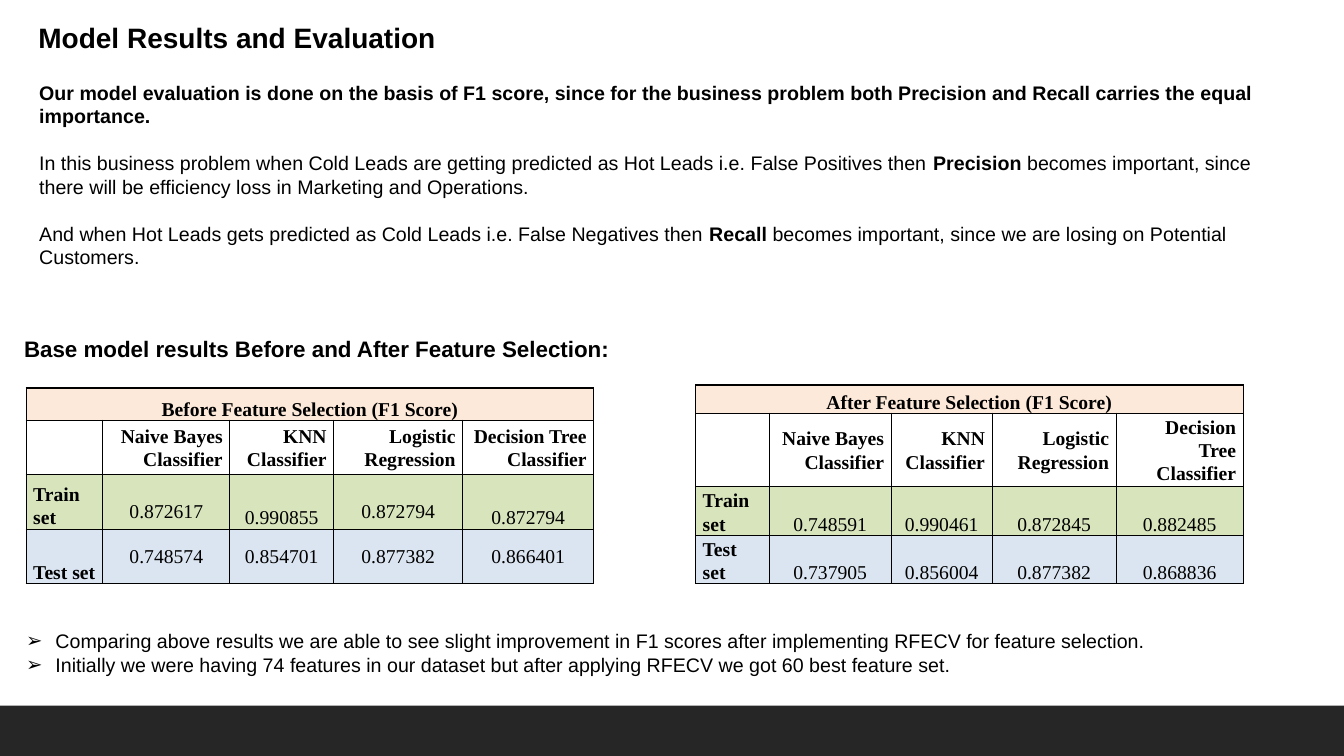
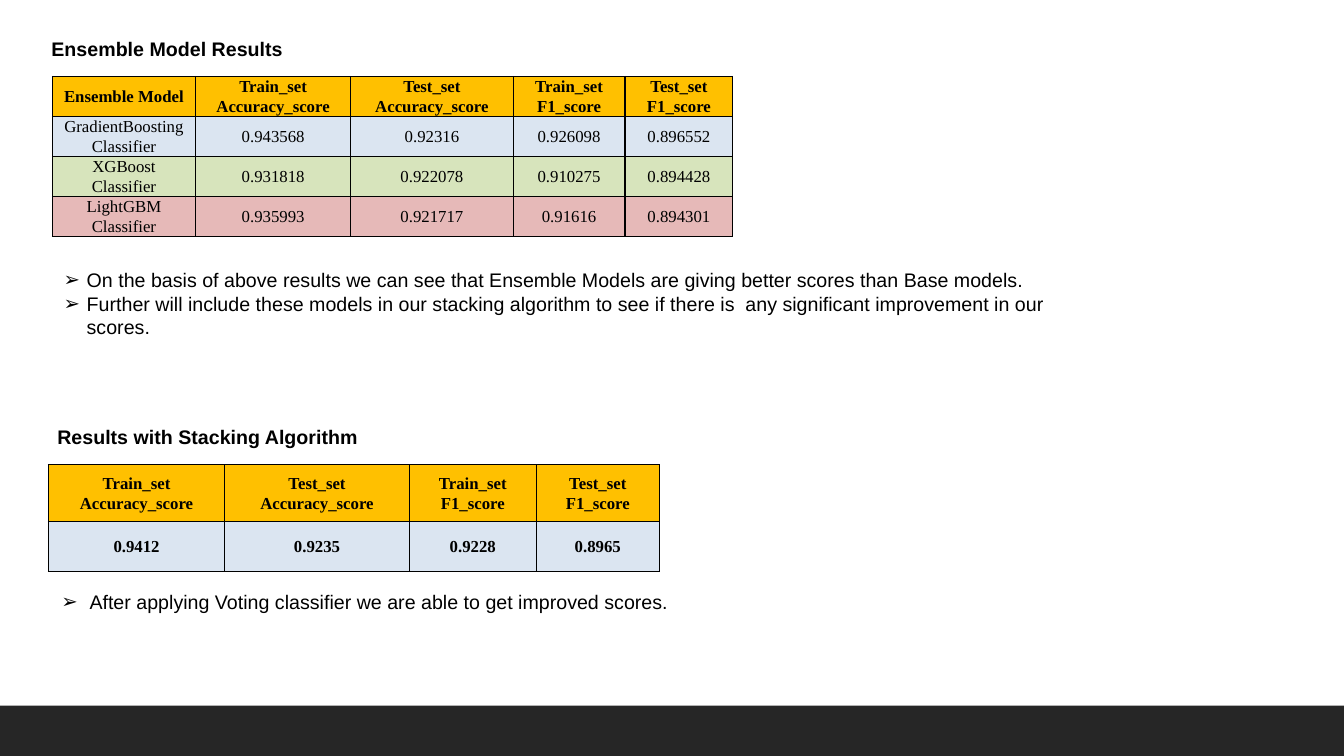
from lxml import etree
from pptx import Presentation
from pptx.dml.color import RGBColor
from pptx.enum import shapes, text
from pptx.oxml import ns
from pptx.util import Inches, Pt

BLACK = RGBColor(0x00, 0x00, 0x00)
WHITE = RGBColor(0xFF, 0xFF, 0xFF)
BAND = RGBColor(0x26, 0x26, 0x26)
PEACH = RGBColor(0xFD, 0xE9, 0xD9)
GREEN = RGBColor(0xD7, 0xE4, 0xBC)
BLUE = RGBColor(0xDB, 0xE5, 0xF1)
ROSE = RGBColor(0xE6, 0xB9, 0xB8)
AMBER = RGBColor(0xFF, 0xC0, 0x00)

SANS = "Arial"
SERIF = "Times New Roman"
LEFT, CENTER, RIGHT = text.PP_ALIGN.LEFT, text.PP_ALIGN.CENTER, text.PP_ALIGN.RIGHT
TOP, MIDDLE, BOTTOM = text.MSO_ANCHOR.TOP, text.MSO_ANCHOR.MIDDLE, text.MSO_ANCHOR.BOTTOM

CLASSIFIERS = ["Naive Bayes Classifier", "KNN Classifier",
               "Logistic Regression", "Decision Tree Classifier"]
SCORES = ["Train_set Accuracy_score", "Test_set Accuracy_score",
          "Train_set F1_score", "Test_set F1_score"]


def add_bullet(paragraph, indent):
    properties = paragraph._p.get_or_add_pPr()
    properties.set("marL", str(Inches(indent)))
    properties.set("indent", str(-Inches(indent)))
    color = etree.SubElement(properties, ns.qn("a:buClr"))
    etree.SubElement(color, ns.qn("a:srgbClr"), val=str(BLACK))
    etree.SubElement(properties, ns.qn("a:buFont"), typeface=SANS)
    etree.SubElement(properties, ns.qn("a:buChar"), char="➢")


def write(frame, *paragraphs, size=14, font=SANS, bold=False, align=LEFT,
          gap=0, line_spacing=1.0, bullet_indent=None):
    """Fill a frame; a paragraph is a string or a list of (text, bold) runs."""
    for index, content in enumerate(paragraphs):
        paragraph = frame.add_paragraph() if index else frame.paragraphs[0]
        paragraph.alignment = align
        paragraph.line_spacing = line_spacing
        paragraph.space_before = Pt(gap if index else 0)
        if bullet_indent:
            add_bullet(paragraph, bullet_indent)
        runs = [(content, bold)] if isinstance(content, str) else content
        for words, is_bold in runs:
            run = paragraph.add_run()
            run.text = words
            run.font.name = font
            run.font.size = Pt(size)
            run.font.bold = is_bold
            run.font.color.rgb = BLACK


def place(shape, left, top, width, height):
    """Position a text shape and return its frame, wrapped and top-anchored."""
    shape.left, shape.top = Inches(left), Inches(top)
    shape.width, shape.height = Inches(width), Inches(height)
    frame = shape.text_frame
    frame.word_wrap = True
    frame.auto_size = text.MSO_AUTO_SIZE.NONE
    frame.vertical_anchor = TOP
    return frame


def add_text(slide, box, *paragraphs, **style):
    textbox = slide.shapes.add_textbox(0, 0, 0, 0)
    write(place(textbox, *box), *paragraphs, **style)


def add_border(cell):
    properties = cell._tc.get_or_add_tcPr()
    for index, side in enumerate(("lnL", "lnR", "lnT", "lnB")):
        line = etree.Element(ns.qn("a:" + side), w=str(Pt(1)))
        fill = etree.SubElement(line, ns.qn("a:solidFill"))
        etree.SubElement(fill, ns.qn("a:srgbClr"), val=str(BLACK))
        properties.insert(index, line)


def add_grid(slide, left, top, widths, heights):
    """Add a bordered white table without the built-in banding."""
    table = slide.shapes.add_table(
        len(heights), len(widths), Inches(left), Inches(top),
        Inches(sum(widths)), Inches(sum(heights))).table
    table.first_row = table.horz_banding = False
    for column, width in zip(table.columns, widths):
        column.width = Inches(width)
    for row, height in zip(table.rows, heights):
        row.height = Inches(height)
    for cell in table.iter_cells():
        cell.fill.solid()
        cell.fill.fore_color.rgb = WHITE
        cell.margin_left = cell.margin_right = Inches(0.07)
        cell.margin_top = cell.margin_bottom = 0
        add_border(cell)
    return table


def fill_cell(cell, words, fill, anchor=MIDDLE, align=CENTER, **style):
    cell.fill.fore_color.rgb = fill
    cell.vertical_anchor = anchor
    write(cell.text_frame, words, font=SERIF, align=align, line_spacing=1.07, **style)


def add_f1_table(slide, left, top, widths, heights, caption, train, test, test_anchor):
    table = add_grid(slide, left, top, widths, heights)
    table.cell(0, 0).merge(table.cell(0, len(widths) - 1))
    fill_cell(table.cell(0, 0), caption, PEACH, BOTTOM, bold=True)
    for column, name in enumerate(CLASSIFIERS, 1):
        fill_cell(table.cell(1, column), name, WHITE, align=RIGHT, bold=True)
    score_rows = [("Train set", train, GREEN, BOTTOM), ("Test set", test, BLUE, test_anchor)]
    for row, (label, values, fill, anchor) in enumerate(score_rows, 2):
        fill_cell(table.cell(row, 0), label, fill, BOTTOM, LEFT, bold=True)
        for column, value in enumerate(values, 1):
            fill_cell(table.cell(row, column), value, fill, anchor)
    return table


def add_score_table(slide, left, top, widths, heights, header, rows, bold=False):
    """Add an amber-headed table; each row is (fill, cell texts)."""
    table = add_grid(slide, left, top, widths, heights)
    for row, (fill, values) in enumerate([(AMBER, header), *rows]):
        for column, value in enumerate(values):
            fill_cell(table.cell(row, column), value, fill, size=12, bold=bold or row == 0)


def add_slide(prs, title, title_box, title_size, bullets, bullets_box, bullet_indent):
    slide = prs.slides.add_slide(prs.slide_layouts[1])
    write(place(slide.shapes.title, *title_box), title, size=title_size, bold=True)
    write(place(slide.placeholders[1], *bullets_box), *bullets, bullet_indent=bullet_indent)
    return slide


def add_master_band(prs, slide):
    """Draw the footer band and move it to the master, behind every slide."""
    band = slide.shapes.add_shape(
        shapes.MSO_SHAPE.RECTANGLE, 0, Inches(7), prs.slide_width, Inches(0.5))
    band.shadow.inherit = False
    band.fill.solid()
    band.fill.fore_color.rgb = BAND
    band.line.fill.background()
    band.element.nvSpPr.cNvPr.set("id", "100")
    prs.slide_master.shapes.element.insert(2, band.element)


def build_evaluation(prs):
    slide = add_slide(
        prs, "Model Results and Evaluation", (0.28, 0.15, 7.07, 0.44), 20,
        ["Comparing above results we are able to see slight improvement in F1 scores "
         "after implementing RFECV for feature selection.",
         "Initially we were having 74 features in our dataset but after applying RFECV "
         "we got 60 best feature set."],
        (0.16, 6.19, 11.57, 0.7), 0.29)
    add_text(
        slide, (0.29, 0.75, 12.41, 2.2),
        [("Our model evaluation is done on the basis of F1 score, since for the business "
          "problem both Precision and Recall carries the equal importance.", True)],
        [("In this business problem when Cold Leads are getting predicted as Hot Leads "
          "i.e. False Positives then ", False), ("Precision", True),
         (" becomes important, since there will be efficiency loss in Marketing and "
          "Operations.", False)],
        [("And when Hot Leads gets predicted as Cold Leads i.e. False Negatives then ", False),
         ("Recall", True),
         (" becomes important, since we are losing on Potential Customers.", False)],
        gap=16.8)
    add_text(slide, (0.14, 3.28, 6.3, 0.37),
             "Base model results Before and After Feature Selection:", size=16, bold=True)
    before = add_f1_table(
        slide, 0.26, 3.85, [0.76, 1.26, 1.03, 1.28, 1.3], [0.32, 0.54, 0.54, 0.54],
        "Before Feature Selection (F1 Score)",
        ["0.872617", "0.990855", "0.872794", "0.872794"],
        ["0.748574", "0.854701", "0.877382", "0.866401"], MIDDLE)
    for column in (1, 3):
        before.cell(2, column).margin_bottom = Inches(0.06)
    add_f1_table(
        slide, 6.9, 3.82, [0.73, 1.21, 1, 1.23, 1.26], [0.28, 0.73, 0.48, 0.48],
        "After Feature Selection (F1 Score)",
        ["0.748591", "0.990461", "0.872845", "0.882485"],
        ["0.737905", "0.856004", "0.877382", "0.868836"], BOTTOM)
    return slide


def build_ensemble(prs):
    slide = add_slide(
        prs, "Ensemble Model Results", (0.41, 0.32, 3.61, 0.4), 14,
        ["On the basis of above results we can see that Ensemble Models are giving "
         "better scores than Base models.",
         "Further will include these models in our stacking algorithm to see if there is  "
         "any significant improvement in our scores."],
        (0.53, 2.61, 10.53, 0.81), 0.23)
    add_score_table(
        slide, 0.52, 0.76, [1.42, 1.54, 1.61, 1.11, 1.07], [0.39] * 4,
        ["Ensemble Model", *SCORES],
        [(BLUE, ["GradientBoosting Classifier", "0.943568", "0.92316", "0.926098", "0.896552"]),
         (GREEN, ["XGBoost Classifier", "0.931818", "0.922078", "0.910275", "0.894428"]),
         (ROSE, ["LightGBM Classifier", "0.935993", "0.921717", "0.91616", "0.894301"])])
    add_text(slide, (0.47, 4.17, 4.53, 0.4), "Results with Stacking Algorithm", bold=True)
    add_score_table(
        slide, 0.48, 4.61, [1.75, 1.83, 1.26, 1.22], [0.56, 0.5], SCORES,
        [(BLUE, ["0.9412", "0.9235", "0.9228", "0.8965"])], bold=True)
    add_text(slide, (0.51, 5.8, 10.97, 0.4),
             "After applying Voting classifier we are able to get improved scores.",
             bullet_indent=0.28)


def main():
    prs = Presentation()
    prs.slide_width, prs.slide_height = Inches(13.33), Inches(7.5)
    evaluation = build_evaluation(prs)
    add_master_band(prs, evaluation)
    build_ensemble(prs)
    prs.save("out.pptx")


if __name__ == "__main__":
    main()
